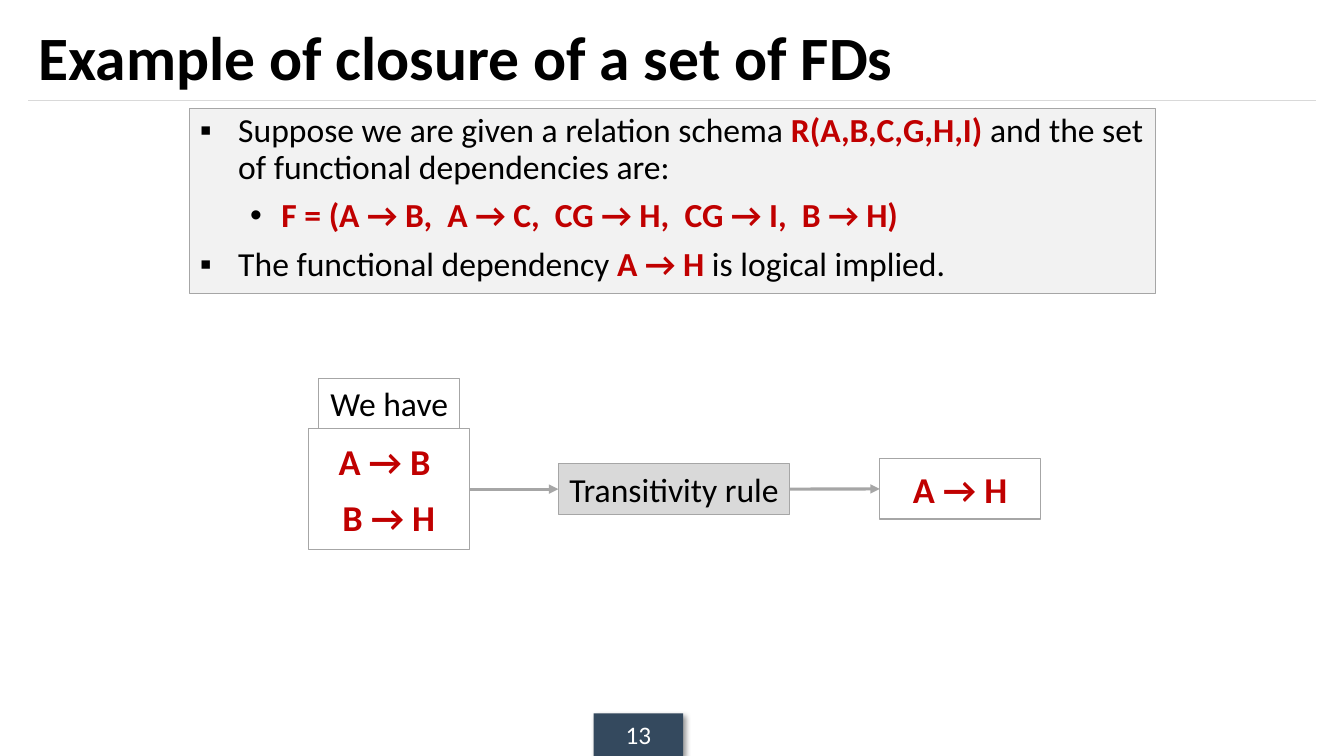
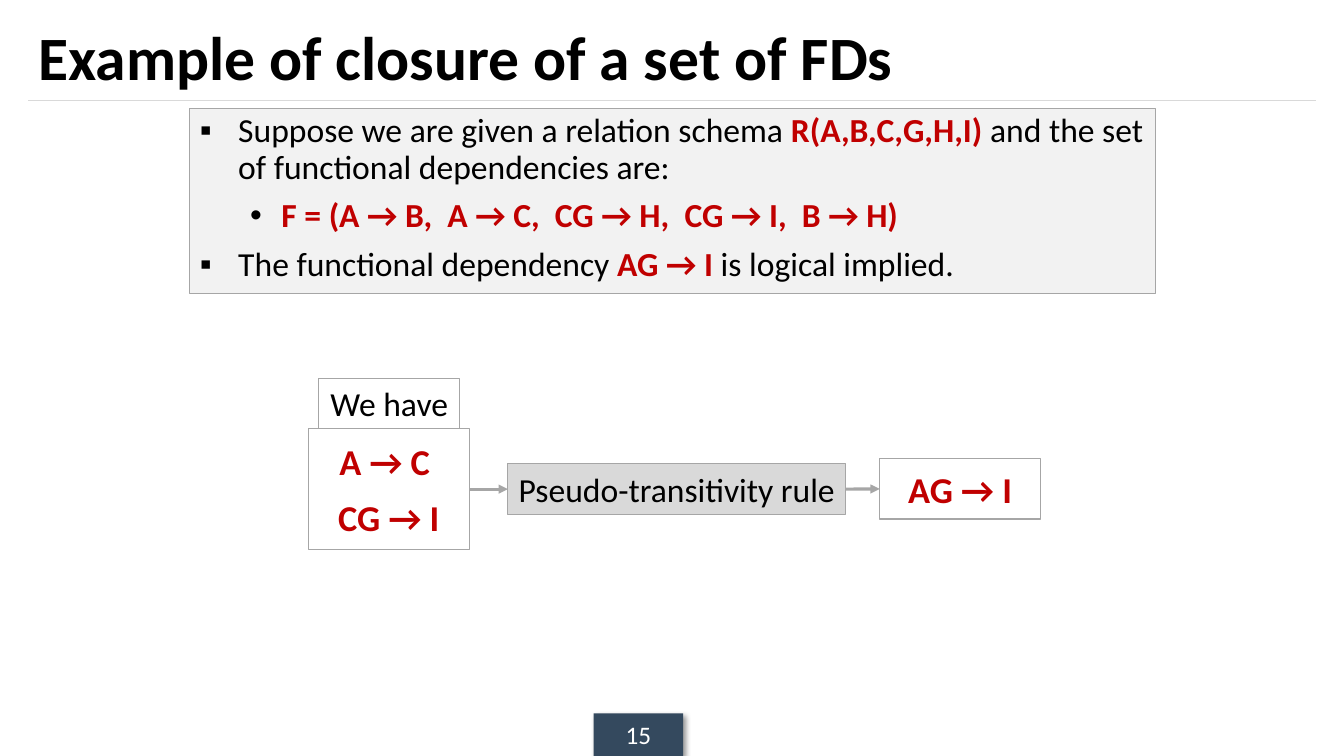
"""Two slides deriving functional dependencies from a closure set."""
from lxml.etree import SubElement as Sub
from pptx import Presentation
from pptx.dml.color import RGBColor as RGB
from pptx.enum.shapes import MSO_CONNECTOR as Link, MSO_SHAPE as Kind
from pptx.enum.text import MSO_ANCHOR as Anchor, MSO_AUTO_SIZE as Fit, PP_ALIGN as Align
from pptx.oxml.ns import qn
from pptx.util import Cm, Pt

COLORS = {
    "black": "000000", "red": "C00000", "white": "FFFFFF", "navy": "34495E",
    "pale": "F2F2F2", "light": "D9D9D9", "gray": "A6A6A6",
}
RGBS = {name: RGB.from_string(code) for name, code in COLORS.items()}
TITLE = "Example of closure of a set of FDs"
GIVEN = "Suppose we are given a relation schema *R(A,B,C,G,H,I)* and the set of functional dependencies are:"
RULES = "*F = (A → B,  A → C,  CG → H,  CG → I,  B → H)*"
SLIDES = [
    ("13", "A → H", ["A → B ", "B → H"], "Transitivity rule", 14.07, 5.84),
    ("15", "AG → I", ["A → C ", "CG → I"], "Pseudo-transitivity rule", 12.8, 8.51),
]


def write(frame, lines, size, tint="black", align=Align.LEFT, anchor=Anchor.MIDDLE, bold=False):
    """Fill a frame with lines whose starred parts are bold and red."""
    look = {"word_wrap": True, "auto_size": Fit.NONE, "vertical_anchor": anchor}
    for key, value in look.items():
        setattr(frame, key, value)
    for row, line in enumerate(lines):
        para = frame.add_paragraph() if row else frame.paragraphs[0]
        para.alignment = align
        para.space_before = Pt(9 if row else 0)
        for part, text in enumerate(line.split("*")):
            if not text:
                continue
            run = para.add_run()
            run.text = text
            hot = part % 2 == 1
            style = {"name": "Calibri", "size": Pt(size), "bold": bold or hot}
            for key, value in style.items():
                setattr(run.font, key, value)
            run.font.color.rgb = RGBS["red" if hot else tint]


def box(slide, area, lines, size, fill=None, edge="gray", tint="black"):
    """Add a rectangle with centred text."""
    shape = slide.shapes.add_shape(Kind.RECTANGLE, *map(Cm, area))
    shape.shadow.inherit = False
    if fill:
        shape.fill.solid()
        shape.fill.fore_color.rgb = RGBS[fill]
    else:
        shape.fill.background()
    if edge:
        shape.line.color.rgb = RGBS[edge]
        shape.line.width = Pt(0.75)
    else:
        shape.line.fill.background()
    write(shape.text_frame, lines, size, tint, Align.CENTER)
    shape.text_frame.word_wrap = False
    return shape


deck = Presentation()
deck.slide_width, deck.slide_height = Cm(33.87), Cm(19.05)

for page, goal, facts, rule, left, width in SLIDES:
    slide = deck.slides.add_slide(deck.slide_layouts[1])
    title, body = slide.placeholders
    places = [(title, (0.71, 0.3, 32.46, 2.24)), (body, (4.78, 2.74, 24.33, 4.65))]
    for holder, area in places:
        for key, value in zip(("left", "top", "width", "height"), area):
            setattr(holder, key, Cm(value))

    write(title.text_frame, [TITLE], 44, bold=True)
    body.fill.solid()
    body.fill.fore_color.rgb = RGBS["pale"]
    body.line.color.rgb = RGBS["gray"]
    body.line.width = Pt(0.75)
    ends = f"The functional dependency *{goal}* is logical implied."
    write(body.text_frame, [GIVEN, RULES, ends], 24, anchor=Anchor.TOP)
    marks = [("▪", 0.97, 0.97), ("•", 2.06, 0.79), ("▪", 0.97, 0.97)]
    for para, (mark, margin, hang) in zip(body.text_frame.paragraphs, marks):
        props = para._p.get_or_add_pPr()
        props.set("marL", str(Cm(margin)))
        props.set("indent", str(-Cm(hang)))
        para.line_spacing = 0.9
        Sub(Sub(props, qn("a:buClr")), qn("a:srgbClr"), val=COLORS["black"])
        Sub(props, qn("a:buChar"), char=mark)

    tab = box(slide, (14.96, 17.98, 2.26, 1.07), [page], 18, "navy", None, "white")
    glow = Sub(tab._element.spPr.find(qn("a:effectLst")), qn("a:outerShdw"),
               blurRad=str(Pt(4)), dist=str(Pt(3)), dir="2700000", algn="tl", rotWithShape="0")
    shade = Sub(glow, qn("a:srgbClr"), val=COLORS["black"])
    Sub(shade, qn("a:alpha"), val="40000")

    pair = box(slide, (7.77, 10.8, 4.06, 3.05), [f"*{fact}*" for fact in facts], 26)
    box(slide, (8.03, 9.53, 3.56, 1.27), ["We have"], 24)
    step = box(slide, (left, 11.69, width, 1.27), [rule], 24, "light")
    proof = box(slide, (22.17, 11.56, 4.06, 1.52), [f"*{goal}*"], 26)

    links = [(None, None, "light", 0.75), (pair, step, "gray", 2.25), (step, proof, "gray", 2.25)]
    for start, end, tint, thick in links:
        line = slide.shapes.add_connector(Link.STRAIGHT, Cm(0.71), Cm(2.54), Cm(33.17), Cm(2.54))
        line.line.color.rgb = RGBS[tint]
        line.line.width = Pt(thick)
        Sub(line._element.spPr, qn("a:effectLst"))
        if start:
            line.begin_connect(start, 3)
            line.end_connect(end, 1)
            Sub(line.line._ln, qn("a:tailEnd"), type="triangle")

deck.save("out.pptx")
